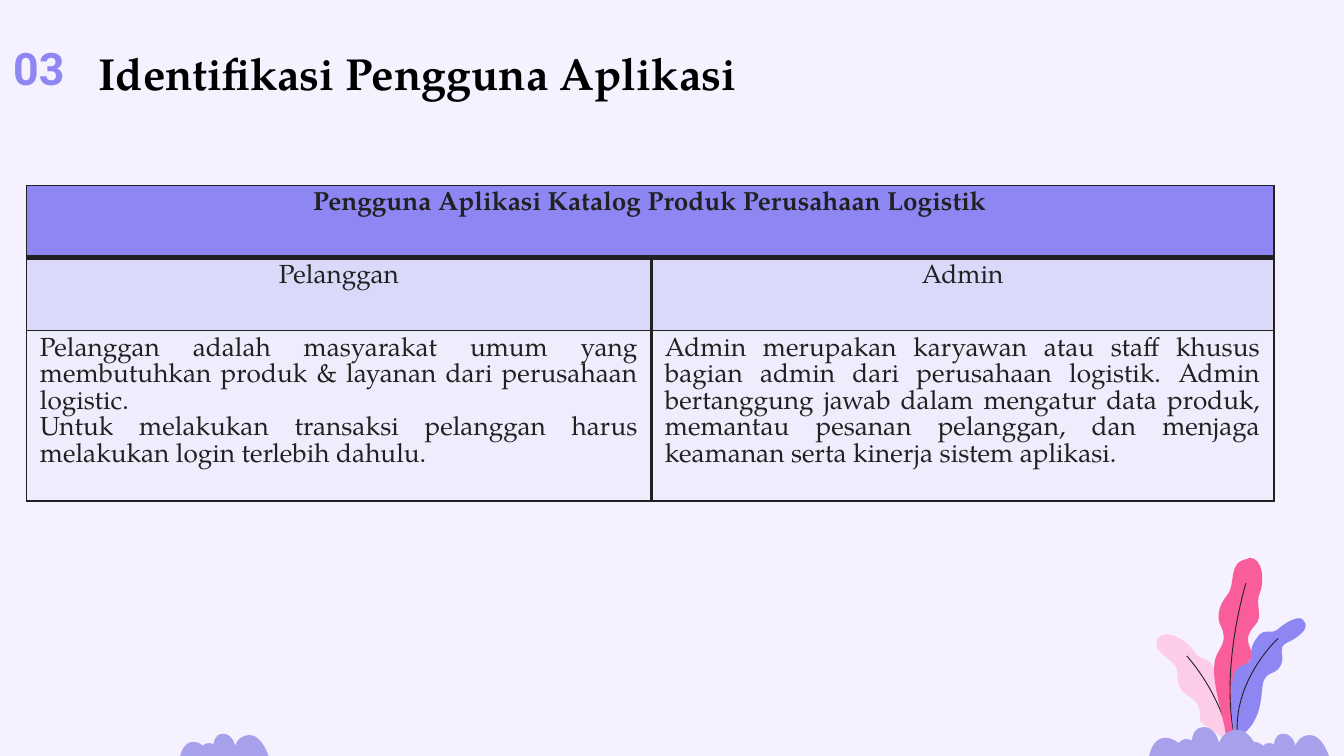
from lxml import etree
from pptx import Presentation
from pptx.dml.color import RGBColor
from pptx.enum.text import MSO_ANCHOR as Anchor, PP_ALIGN as Align
from pptx.oxml.ns import qn
from pptx.util import Pt

INK = RGBColor(0x21, 0x21, 0x21)
BLACK = RGBColor(0, 0, 0)
VIOLET = RGBColor(0x8E, 0x86, 0xF3)
LAVENDER = RGBColor(0xDB, 0xD9, 0xFA)
MIST = RGBColor(0xEE, 0xED, 0xFD)
BUSH = RGBColor(0xA7, 0xA1, 0xEB)
ROSE = RGBColor(0xF9, 0x5D, 0x9B)
BLUSH = RGBColor(0xFC, 0xCC, 0xE9)
PAPER = RGBColor(0xF5, 0xF1, 0xFF)
SERIF, SANS = "TeX Gyre Pagella", "Roboto"

UNIT = 0.72  # points per step of the drawing grid

# Plant outlines: a start point, then (x, y) lines or six-number curves
PINK_LEAF = [(868, 472), (865, 472, 863, 473, 861, 476), (857, 487, 876, 490, 876, 500),
             (876, 509, 877, 514, 886, 519), (895, 525, 892, 532, 893, 536),
             (894, 540, 905, 543, 910, 550), (910, 551), (919, 551),
             (919, 551, 922, 516, 914, 511), (905, 506, 906, 502, 902, 495),
             (898, 488, 894, 493, 888, 484), (884, 478, 875, 472, 868, 472)]
PINK_VEIN = [(915, 550), (915, 550, 909, 518, 883, 488)]
ROSE_LEAF = [(930, 415), (930, 415, 929, 415, 928, 416), (913, 418, 920, 435, 913, 443),
             (907, 450, 905, 459, 908, 465), (914, 477, 908, 481, 905, 488),
             (899, 502, 911, 535, 912, 546), (923, 546), (923, 546, 922, 533, 927, 518),
             (931, 504, 921, 504, 930, 491), (936, 483, 921, 479, 934, 465),
             (940, 459, 934, 450, 937, 442), (941, 434, 940, 415, 930, 415)]
ROSE_VEIN = [(927, 434), (927, 434, 907, 499, 919, 550)]
VIOLET_LEAF = [(967, 460), (961, 460, 953, 466, 950, 469), (949, 470, 948, 470, 947, 470),
               (946, 470, 945, 470, 944, 470), (941, 470, 938, 470, 935, 475),
               (928, 484, 933, 489, 929, 493), (925, 496, 921, 494, 918, 502),
               (914, 516, 918, 547, 918, 547), (924, 547), (936, 538, 938, 525, 939, 514),
               (940, 497, 949, 504, 953, 495), (957, 486, 949, 483, 958, 478),
               (967, 474, 975, 467, 970, 462), (970, 461, 968, 460, 967, 460)]
VIOLET_VEIN = [(951, 475), (951, 475, 916, 507, 921, 550)]
SMALL_BUSH = [(955, 546), (948, 546, 948, 554, 948, 554), (948, 554, 947, 553, 945, 553),
              (943, 553, 942, 553, 940, 555), (940, 555, 937, 552, 933, 552),
              (925, 552, 923, 563, 923, 563), (989, 563), (989, 563, 984, 547, 975, 547),
              (966, 547, 964, 555, 964, 555), (964, 555, 962, 546, 955, 546)]
LARGE_BUSH = [(896, 541), (887, 541, 887, 551, 887, 551), (887, 551, 885, 550, 882, 550),
              (881, 550, 878, 551, 877, 553), (877, 553, 873, 549, 867, 549),
              (857, 549, 855, 563, 855, 563), (938, 563), (937, 560, 931, 543, 921, 543),
              (910, 543, 907, 553, 907, 553), (907, 553, 905, 541, 896, 541)]


class Deck:
    def __init__(self, width, height):
        self.prs = Presentation()
        self.prs.slide_width, self.prs.slide_height = Pt(width), Pt(height)
        self.s = self.prs.slides.add_slide(self.prs.slide_layouts[6])
        self.s.background.fill.solid()
        self.s.background.fill.fore_color.rgb = PAPER

    def outline(self, outline, fill=None, dx=0):
        """Filled shape, or a thin open vein when no fill is given."""
        ends = [(seg[-2] + dx, seg[-1]) for seg in outline]
        fb = self.s.shapes.build_freeform(*ends[0], scale=Pt(UNIT))
        fb.add_line_segments(ends[1:], close=fill is not None)
        sp = fb.convert_to_shape()
        self.bend(sp, outline, min(x for x, _ in ends) - dx, min(y for _, y in ends))
        sp.shadow.inherit = False
        if fill is None:
            sp.fill.background()
            sp.line.color.rgb = INK
            sp.line.width = Pt(0.48)
        else:
            sp.fill.solid()
            sp.fill.fore_color.rgb = fill
            sp.line.fill.background()

    def bend(self, sp, outline, left, top):
        """Turn the straight segments of a freeform into cubic curves."""
        lines = list(sp._element.iter(qn("a:lnTo")))
        for line, seg in zip(lines, outline[1:]):
            if len(seg) == 2:
                continue
            curve = etree.Element(qn("a:cubicBezTo"))
            for x, y in zip(seg[::2], seg[1::2]):
                etree.SubElement(curve, qn("a:pt"), x=str(x - left), y=str(y - top))
            line.getparent().replace(line, curve)

    def style(self, p, size, color, font=SERIF, bold=False, align=None):
        p.alignment = align
        p.font.size, p.font.name, p.font.bold = Pt(size), font, bold
        p.font.color.rgb = color

    def text(self, box, text, color, font, anchor, inset, align=None, spacing=None):
        tf = self.s.shapes.add_textbox(*map(Pt, box)).text_frame
        tf.word_wrap = True
        tf.vertical_anchor = anchor
        tf.margin_left = tf.margin_right = Pt(7.2)
        tf.margin_top = tf.margin_bottom = Pt(inset)
        p = tf.paragraphs[0]
        p.text = text
        p.line_spacing = spacing
        self.style(p, 24, color, font, True, align)

    def table(self, left, top, cols, rows):
        shape = self.s.shapes.add_table(len(rows), len(cols), Pt(left), Pt(top),
                                        Pt(sum(cols)), Pt(sum(rows)))
        tbl = shape.table
        for col, width in zip(tbl.columns, cols):
            col.width = Pt(width)
        for row, height in zip(tbl.rows, rows):
            row.height = Pt(height)
        return tbl

    def cell(self, cell, text, fill, align, bold=False, **borders):
        cell.fill.solid()
        cell.fill.fore_color.rgb = fill
        cell.text_frame.text = text
        for p in cell.text_frame.paragraphs:
            self.style(p, 14, INK, bold=bold, align=align)
        tc_pr = cell._tc.get_or_add_tcPr()
        for i, side in enumerate("LRTB"):
            ln = etree.Element(qn("a:ln" + side), w=str(Pt(borders.get(side, 1))))
            color = etree.SubElement(etree.SubElement(ln, qn("a:solidFill")), qn("a:srgbClr"))
            color.set("val", str(INK))
            tc_pr.insert(i, ln)


def main():
    deck = Deck(720, 405)

    # Plant and bushes
    for leaf, color, vein in ((PINK_LEAF, BLUSH, PINK_VEIN), (ROSE_LEAF, ROSE, ROSE_VEIN),
                              (VIOLET_LEAF, VIOLET, VIOLET_VEIN)):
        deck.outline(leaf, color)
        deck.outline(vein)
    deck.outline(SMALL_BUSH, BUSH)
    deck.outline(LARGE_BUSH, BUSH)
    deck.outline(SMALL_BUSH, BUSH, dx=-789)

    # Heading
    deck.text((0, 23.8, 45.4, 25.2), "03", VIOLET, SANS, Anchor.MIDDLE, 7.2)
    deck.text((45.6, 16.9, 362.9, 38.9), "Identifikasi Pengguna Aplikasi", BLACK, SERIF,
              Anchor.TOP, 3.6, Align.JUSTIFY, 1.15)

    # User table
    tbl = deck.table(14.2, 99.3, (334.8, 333.4), (38.9, 38.9, 91.2))
    tbl.cell(0, 0).merge(tbl.cell(0, 1))
    deck.cell(tbl.cell(0, 0), "Pengguna Aplikasi Katalog Produk Perusahaan Logistik",
              VIOLET, Align.CENTER, True, B=3)
    body = (
        (LAVENDER, Align.CENTER, "Pelanggan", "Admin"),
        (MIST, Align.JUSTIFY,
         "Pelanggan adalah masyarakat umum yang membutuhkan produk & layanan dari "
         "perusahaan logistic.\nUntuk melakukan transaksi pelanggan harus melakukan "
         "login terlebih dahulu.",
         "Admin merupakan karyawan atau staff khusus bagian admin dari perusahaan "
         "logistik. Admin bertanggung jawab dalam mengatur data produk, memantau pesanan "
         "pelanggan, dan menjaga keamanan serta kinerja sistem aplikasi. "),
    )
    for i, (fill, align, customer, admin) in enumerate(body, start=1):
        top = 3 if i == 1 else 1
        deck.cell(tbl.cell(i, 0), customer, fill, align, R=2.25, T=top)
        deck.cell(tbl.cell(i, 1), admin, fill, align, L=2.25, T=top)

    deck.prs.save("out.pptx")


if __name__ == "__main__":
    main()
